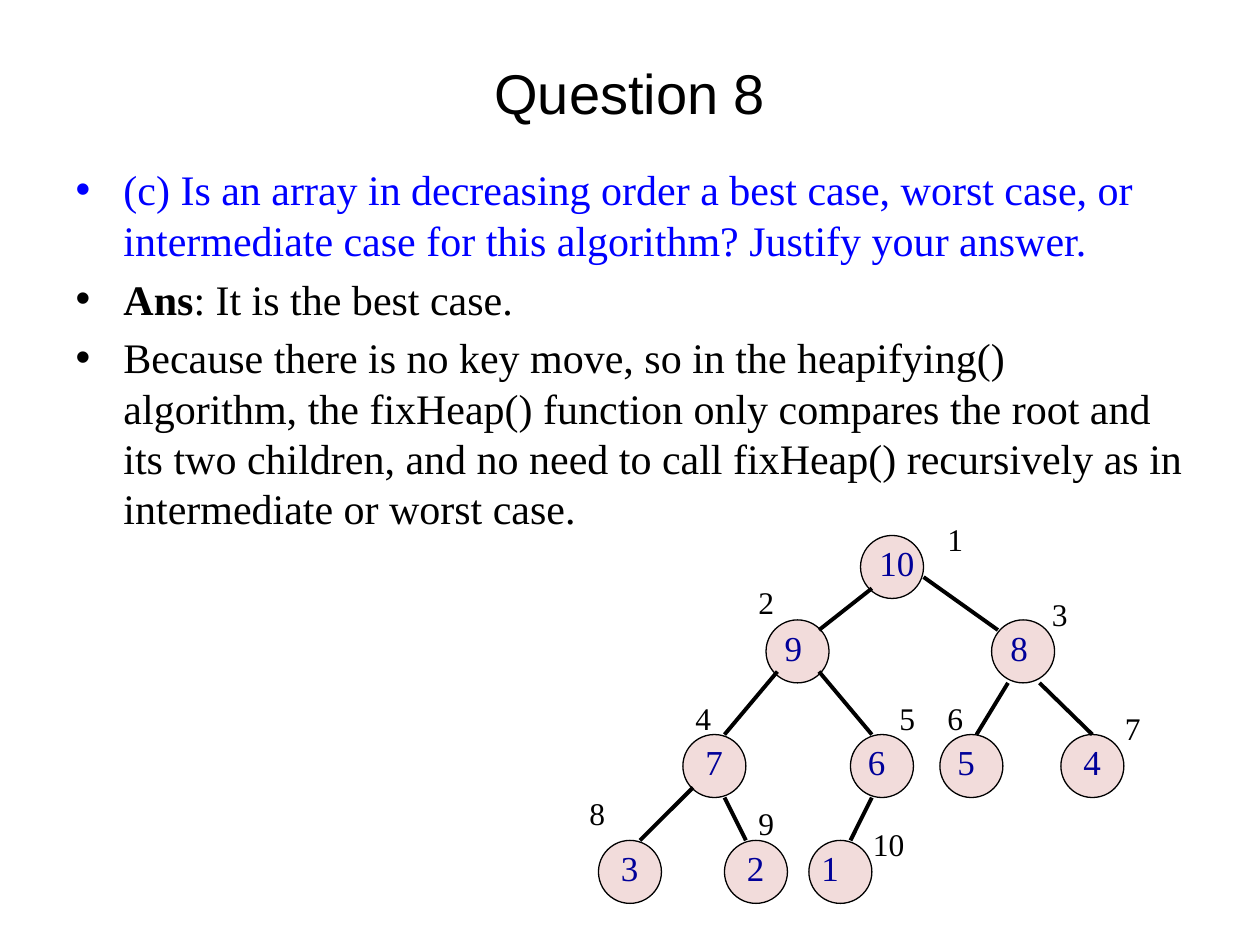
from dataclasses import dataclass

from lxml.etree import SubElement
from pptx import Presentation
from pptx.dml.color import RGBColor
from pptx.enum.shapes import MSO_CONNECTOR as Connector, MSO_SHAPE as Shape
from pptx.enum.text import MSO_AUTO_SIZE as AutoSize
from pptx.oxml.ns import qn
from pptx.shapes.shapetree import GroupShapes
from pptx.text.text import Font
from pptx.util import Inches, Pt

COLORS = {
    "black": "000000",
    "question": "0000FF",
    "key": "000099",
    "node": "F2DCDB",
}
SERIF = "Times New Roman"
DIAMETER = 0.5
LEVELS = (4.25, 4.92, 5.83, 6.67)


@dataclass
class Node:
    key: int
    left: float
    level: int
    key_offset: float
    index_left: float
    index_top: float


@dataclass
class Edge:
    x1: float
    y1: float
    x2: float
    y2: float


NODES = [
    Node(10, 6.83, 0, 0.05, 7.42, 4.08),
    Node(9, 6.08, 1, 0.05, 5.92, 4.58),
    Node(8, 7.87, 1, 0.05, 8.25, 4.67),
    Node(7, 5.42, 2, 0.08, 5.42, 5.5),
    Node(6, 6.75, 2, 0.04, 7.04, 5.5),
    Node(5, 7.46, 2, 0.04, 7.42, 5.5),
    Node(4, 8.42, 2, 0.08, 8.83, 5.58),
    Node(3, 4.75, 3, 0.08, 4.58, 6.25),
    Node(2, 5.75, 3, 0.08, 5.92, 6.33),
    Node(1, 6.42, 3, 0, 6.83, 6.5),
]
EDGES = [
    Edge(6.92, 4.67, 6.5, 5),
    Edge(7.33, 4.58, 7.92, 5),
    Edge(6.17, 5.33, 5.75, 5.83),
    Edge(6.5, 5.33, 6.92, 5.83),
    Edge(8, 5.42, 7.75, 5.83),
    Edge(8.25, 5.42, 8.67, 5.83),
    Edge(5.5, 6.25, 5.08, 6.67),
    Edge(5.75, 6.33, 5.92, 6.67),
    Edge(6.92, 6.33, 6.75, 6.67),
]
ANSWERS = [
    ("question", [("(c) Is an array in decreasing order a best case, worst case, or "
                   "intermediate case for this algorithm? Justify your answer.", False)]),
    ("black", [("Ans", True), (": It is the best case.", False)]),
    ("black", [("Because there is no key move, so in the heapifying() algorithm, "
                "the fixHeap() function only compares the root and its two children, "
                "and no need to call fixHeap() recursively as in intermediate or "
                "worst case.", False)]),
]


def rgb(name: str) -> RGBColor:
    return RGBColor.from_string(COLORS[name])


def set_font(font: Font, size: float, color: str, name: str = SERIF) -> None:
    font.name = name
    font.size = Pt(size)
    font.color.rgb = rgb(color)


def place(shape, left: float, top: float, width: float, height: float) -> None:
    shape.left, shape.top = Inches(left), Inches(top)
    shape.width, shape.height = Inches(width), Inches(height)


def add_number(shapes: GroupShapes, number: int, left: float, top: float,
               size: float, color: str) -> None:
    width = 0.34 if number < 10 else 0.48
    box = shapes.add_textbox(Inches(left), Inches(top), Inches(width), Inches(0.43))
    frame = box.text_frame
    frame.word_wrap = False
    frame.auto_size = AutoSize.SHAPE_TO_FIT_TEXT
    para = frame.paragraphs[0]
    para.text = str(number)
    set_font(para.font, size, color)


def add_node(shapes: GroupShapes, node: Node, index: int) -> None:
    top = LEVELS[node.level]
    circle = shapes.add_shape(Shape.OVAL, Inches(node.left), Inches(top),
                              Inches(DIAMETER), Inches(DIAMETER))
    circle.shadow.inherit = False
    circle.fill.solid()
    circle.fill.fore_color.rgb = rgb("node")
    circle.line.color.rgb = rgb("black")
    circle.line.width = Pt(0.75)
    add_number(shapes, node.key, node.left + node.key_offset, top, 20, "key")
    add_number(shapes, index, node.index_left, node.index_top, 18, "black")


def add_edge(shapes: GroupShapes, edge: Edge) -> None:
    line = shapes.add_connector(Connector.STRAIGHT, Inches(edge.x1), Inches(edge.y1),
                                Inches(edge.x2), Inches(edge.y2))
    line.line.color.rgb = rgb("black")
    line.line.width = Pt(2.25)
    SubElement(line._element.spPr, qn("a:effectLst"))


def fill_body(body) -> None:
    frame = body.text_frame
    for number, (color, spans) in enumerate(ANSWERS):
        para = frame.add_paragraph() if number else frame.paragraphs[0]
        properties = para._p.get_or_add_pPr()
        properties.set("marL", str(Inches(0.38)))
        properties.set("indent", str(Inches(-0.38)))
        SubElement(properties, qn("a:buChar"), char="•")
        para.space_before = Pt(4.8 if number else 0)
        para.line_spacing = Pt(28.8)
        set_font(para.font, 24, color)
        for text, bold in spans:
            span = para.add_run()
            span.text = text
            set_font(span.font, 24, color)
            span.font.bold = bold


def main() -> None:
    deck = Presentation()
    deck.slide_width, deck.slide_height = Inches(10), Inches(7.5)
    page = deck.slides.add_slide(deck.slide_layouts[1])

    title = page.shapes.title
    place(title, 0.5, 0.3, 9, 0.87)
    title.text_frame.text = "Question 8"
    set_font(title.text_frame.paragraphs[0].font, 32, "black", "Arial")

    body = page.placeholders[1]
    place(body, 0.5, 1.25, 9, 5.45)
    fill_body(body)

    heap = page.shapes.add_group_shape().shapes
    for index, node in enumerate(NODES, start=1):
        add_node(heap, node, index)
    for edge in EDGES:
        add_edge(heap, edge)

    deck.save("out.pptx")


if __name__ == "__main__":
    main()
